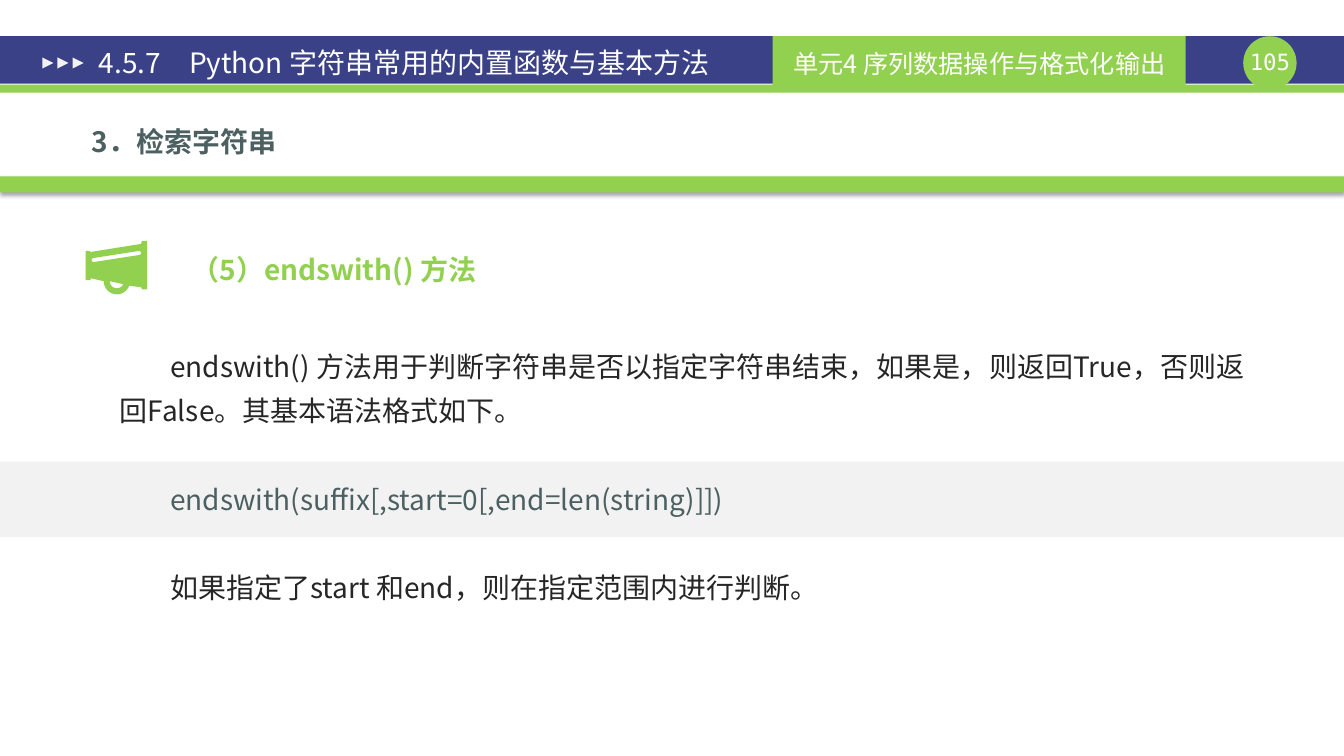
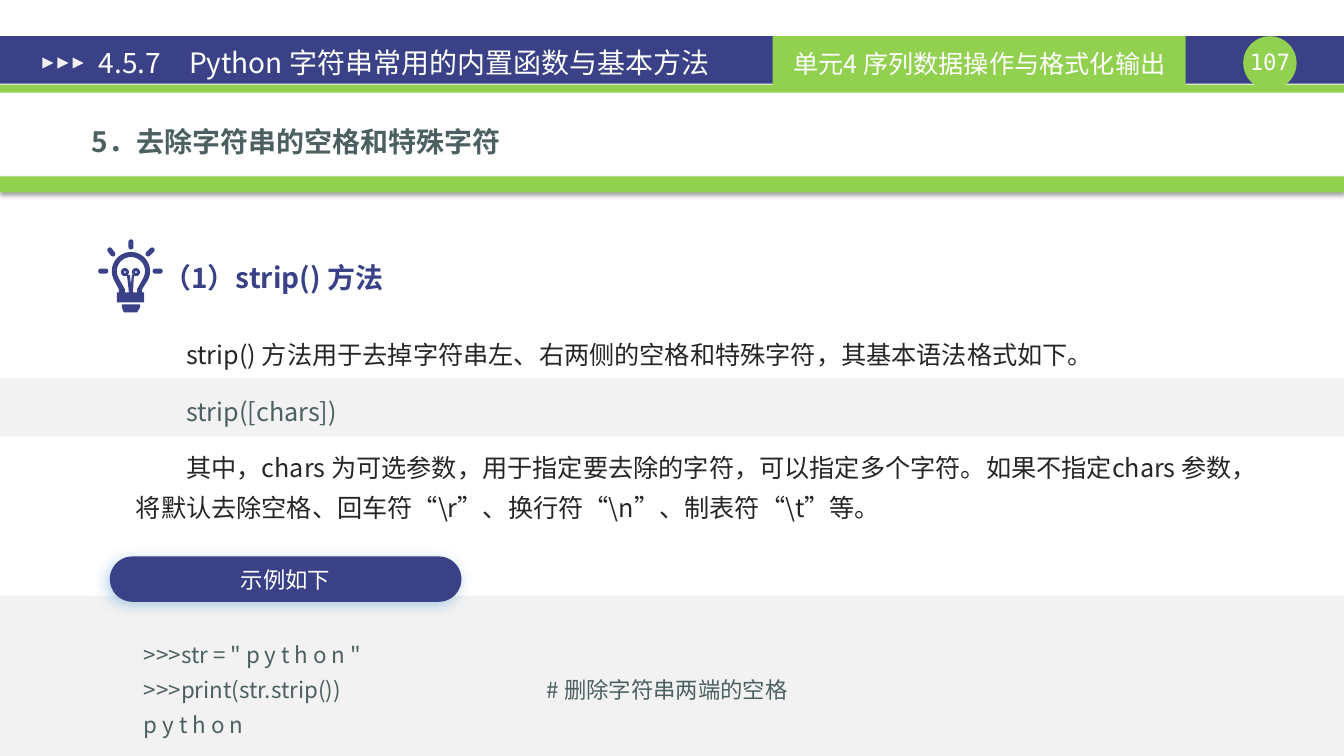
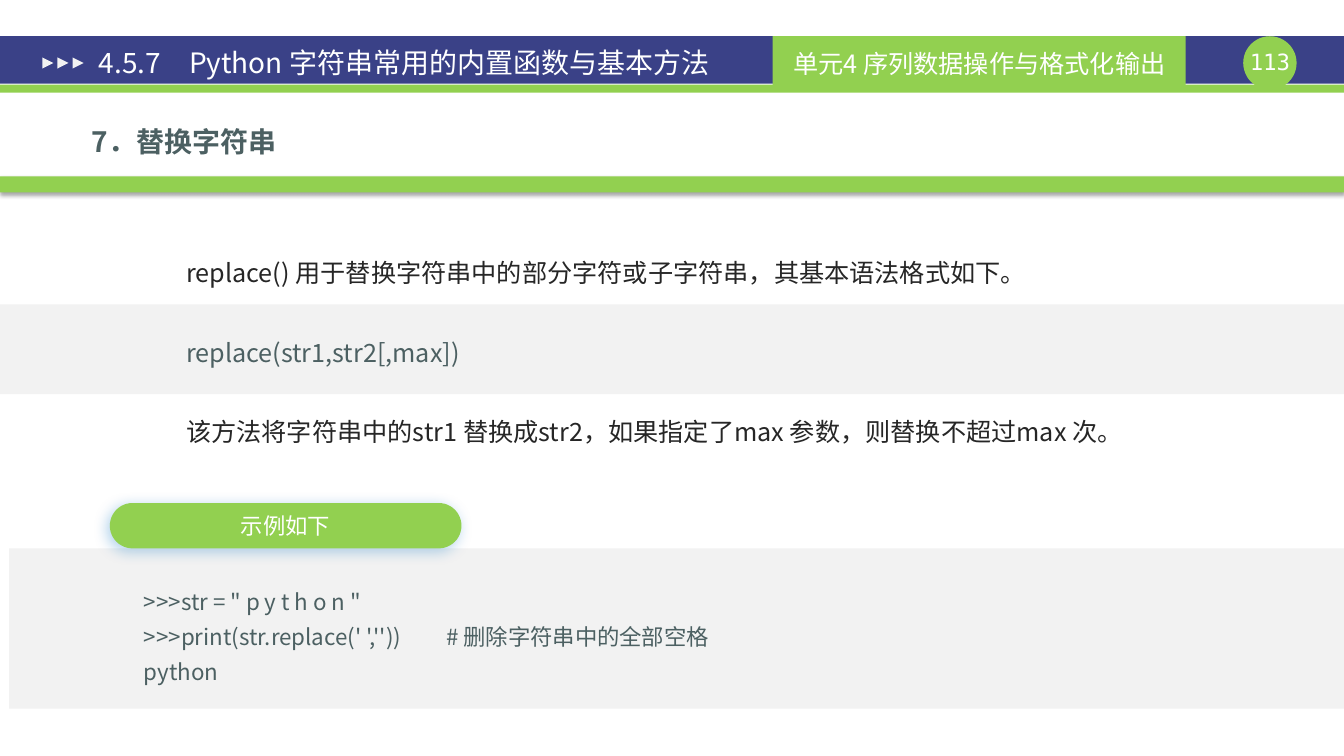
from math import atan2, cos, pi, radians, sin

from lxml import etree
from pptx import Presentation
from pptx.dml.color import RGBColor
from pptx.enum.shapes import MSO_SHAPE as SHAPE
from pptx.enum.text import MSO_ANCHOR as ANCHOR, PP_ALIGN as ALIGN
from pptx.oxml.ns import qn
from pptx.util import Inches, Pt

WIDTH, HEIGHT = 13.34, 7.5
BLUE, GREEN, GREY, WHITE = "3A4187", "92D050", "F2F2F2", "FFFFFF"
INK, SLATE = "262626", "4C6062"
SANS, MONO = "Noto Sans CJK SC", "DejaVu Sans Mono"
INSET = (0.1, 0.05, 0.1, 0.05)
FLAT = (0, 0, 0, 0)


def rgb(value):
    return RGBColor.from_string(value)


def arc(cx, cy, radius, start, end, steps=24):
    angles = [radians(start + (end - start) * i / steps) for i in range(steps + 1)]
    return [(cx + radius * cos(a), cy + radius * sin(a)) for a in angles]


def ray(x1, y1, x2, y2, radius=0.025):
    turn = atan2(y2 - y1, x2 - x1) * 180 / pi
    return (arc(x2, y2, radius, turn - 90, turn + 90, 8)
            + arc(x1, y1, radius, turn + 90, turn + 270, 8))


def box(left, top, right, bottom):
    return [(left, top), (right, top), (right, bottom), (left, bottom)]


HORN = [
    [(1.41, 2.39), (1.4, 2.42), (0.9, 2.5), (0.89, 2.49), (0.85, 2.49),
     (0.85, 2.78), (0.9, 2.78), (0.9, 2.76)]
    + arc(1.16, 2.79, 0.13, 180, 20)
    + [(1.4, 2.85), (1.41, 2.87), (1.46, 2.87), (1.46, 2.39)],
    arc(1.16, 2.79, 0.07, 180, 25),
    ray(0.93, 2.58, 1.38, 2.51, 0.02),
]

BULB = [
    ray(1, 2.69, 1.05, 2.69),
    ray(1.54, 2.69, 1.59, 2.69),
    ray(1.3, 2.4, 1.3, 2.45),
    ray(1.09, 2.48, 1.12, 2.52),
    ray(1.51, 2.48, 1.47, 2.52),
    arc(1.3, 2.69, 0.19, 150, 390) + [(1.41, 2.87), (1.41, 2.9), (1.18, 2.9), (1.18, 2.87)],
    arc(1.3, 2.69, 0.14, 150, 390) + [(1.36, 2.87), (1.36, 2.9), (1.24, 2.9), (1.24, 2.87)],
    arc(1.24, 2.7, 0.04, 0, 360),
    arc(1.24, 2.7, 0.01, 0, 360),
    arc(1.35, 2.7, 0.04, 0, 360),
    arc(1.35, 2.7, 0.01, 0, 360),
    [(1.26, 2.73), (1.33, 2.73), (1.32, 2.9), (1.28, 2.9)],
    [(1.29, 2.73), (1.31, 2.73), (1.3, 2.82)],
    box(1.16, 2.9, 1.43, 3),
    [(1.21, 3.02), (1.39, 3.02), (1.39, 3.05), (1.36, 3.1), (1.23, 3.1), (1.21, 3.05)],
]


class Deck:
    def __init__(self):
        self.prs = Presentation()
        self.prs.slide_width = Inches(WIDTH)
        self.prs.slide_height = Inches(HEIGHT)
        self.s = None

    def paint(self, sp, color):
        sp.shadow.inherit = False
        sp.fill.solid()
        sp.fill.fore_color.rgb = rgb(color)
        sp.line.fill.background()
        return sp

    def shape(self, kind, left, top, width, height, color):
        sp = self.s.shapes.add_shape(
            kind, Inches(left), Inches(top), Inches(width), Inches(height))
        return self.paint(sp, color)

    def band(self, top, height, color, left=0):
        return self.shape(SHAPE.RECTANGLE, left, top, WIDTH - left, height, color)

    def shade(self, sp, color, alpha, blur, distance, angle):
        effects = sp._element.spPr.find(qn("a:effectLst"))
        shadow = etree.SubElement(
            effects, qn("a:outerShdw"), blurRad=str(Pt(blur)), dist=str(Pt(distance)),
            dir=str(angle * 60000), algn="ctr", rotWithShape="0")
        tint = etree.SubElement(shadow, qn("a:srgbClr"), val=color)
        etree.SubElement(tint, qn("a:alpha"), val=str(alpha * 1000))

    def icon(self, outlines, color):
        first, *rest = [[(Inches(x), Inches(y)) for x, y in points] for points in outlines]
        builder = self.s.shapes.build_freeform(*first[0])
        builder.add_line_segments(first[1:], close=True)
        for points in rest:
            builder.move_to(*points[0])
            builder.add_line_segments(points[1:], close=True)
        self.paint(builder.convert_to_shape(), color)

    def put_text(self, sp, lines, size, font=SANS, bold=False, align=ALIGN.LEFT,
                 anchor=ANCHOR.MIDDLE, inset=INSET, spacing=None, gap=0, indent=0, tab=None):
        tf = sp.text_frame
        tf.word_wrap = True
        tf.vertical_anchor = anchor
        tf.margin_left, tf.margin_top, tf.margin_right, tf.margin_bottom = map(Inches, inset)
        for i, (text, color) in enumerate(lines):
            p = tf.add_paragraph() if i else tf.paragraphs[0]
            p.alignment = align
            if spacing:
                p.line_spacing = spacing
            if gap and i:
                p.space_before = Pt(gap)
            pPr = p._p.get_or_add_pPr()
            if indent:
                pPr.set("indent", str(Inches(indent)))
            if tab:
                stops = etree.SubElement(pPr, qn("a:tabLst"))
                etree.SubElement(stops, qn("a:tab"), pos=str(Inches(tab)), algn="l")
            r = p.add_run()
            r.text = text
            r.font.size = Pt(size)
            r.font.bold = bold
            r.font.name = font
            r.font.color.rgb = rgb(color)
            etree.SubElement(r._r.get_or_add_rPr(), qn("a:ea"), typeface=font)

    def text(self, left, top, width, height, lines, size, **style):
        sp = self.s.shapes.add_textbox(
            Inches(left), Inches(top), Inches(width), Inches(height))
        self.put_text(sp, lines, size, **style)

    def start(self, number, topic):
        self.s = self.prs.slides.add_slide(self.prs.slide_layouts[6])
        self.band(0.36, 0.47, BLUE)
        self.band(0.84, 0.08, GREEN)
        self.shape(SHAPE.OVAL, 12.34, 0.36, 0.53, 0.53, GREEN)
        self.text(12.34, 0.48, 0.53, 0.27, [(str(number), WHITE)], 16, font=MONO,
                  align=ALIGN.CENTER, anchor=ANCHOR.TOP, inset=FLAT)
        unit = self.shape(SHAPE.RECTANGLE, 7.67, 0.36, 4.1, 0.54, GREEN)
        self.put_text(unit, [("单元4 序列数据操作与格式化输出", WHITE)], 18, align=ALIGN.CENTER)
        for i in range(3):
            arrow = self.shape(SHAPE.ISOSCELES_TRIANGLE, 0.42 + 0.15 * i, 0.57, 0.11, 0.11, GREY)
            arrow.rotation = 90
        self.text(0.85, 0.4, 8.07, 0.44, [("4.5.7　Python 字符串常用的内置函数与基本方法", WHITE)],
                  20, inset=(0.13, 0.07, 0.13, 0.07))
        self.text(0.31, 1.08, 12.48, 0.5, [(topic, SLATE)], 20, bold=True,
                  anchor=ANCHOR.TOP, spacing=1.32, indent=0.5)
        self.shade(self.band(1.75, 0.16, GREEN), "000000", 35, 3.1, 1.8, 90)

    def heading(self, left, top, width, text, color, align=ALIGN.LEFT):
        self.text(left, top, width, 0.53, [(text, color)], 20, bold=True,
                  align=align, inset=FLAT)

    def syntax(self, left, top, width, height, intro, code, detail, size, gap):
        self.text(left, top, width, height, [(intro, INK), (code, SLATE), (detail, INK)], size,
                  anchor=ANCHOR.TOP, spacing=1.32, gap=gap, indent=0.5)

    def example(self, top, text_top, lines, tab, color):
        self.text(1.33, text_top, 8.18, 1.15, [(line, SLATE) for line in lines], 16,
                  anchor=ANCHOR.TOP, spacing=1.3, tab=tab)
        pill = self.shape(SHAPE.ROUNDED_RECTANGLE, 1.09, top, 3.49, 0.45, color)
        pill.adjustments[0] = 0.5
        self.shade(pill, "0070C0", 30, 10, 3, 135)
        self.put_text(pill, [("示例如下", WHITE)], 16, align=ALIGN.CENTER)


def main():
    deck = Deck()

    deck.start(105, "3．检索字符串")
    deck.band(4.58, 0.75, GREY)
    deck.syntax(1.09, 3.31, 11.55, 2.77,
                "endswith() 方法用于判断字符串是否以指定字符串结束，如果是，则返回True，否则返回False。其基本语法格式如下。",
                "endswith(suffix[,start=0[,end=len(string)]])",
                "如果指定了start 和end，则在指定范围内进行判断。", 20, 31.6)
    deck.icon(HORN, GREEN)
    deck.heading(1.46, 2.41, 3.71, "（5）endswith() 方法", GREEN, ALIGN.CENTER)

    deck.start(107, "5．去除字符串的空格和特殊字符")
    deck.band(3.75, 0.58, GREY)
    deck.icon(BULB, BLUE)
    deck.heading(1.62, 2.49, 2.6, "（1）strip() 方法", BLUE)
    deck.syntax(1.25, 3.22, 11.51, 2.04,
                "strip() 方法用于去掉字符串左、右两侧的空格和特殊字符，其基本语法格式如下。",
                "strip([chars])",
                "其中，chars 为可选参数，用于指定要去除的字符，可以指定多个字符。如果不指定chars 参数，"
                "将默认去除空格、回车符“\\r”、换行符“\\n”、制表符“\\t”等。", 18, 12)
    deck.band(5.91, 1.59, GREY)
    deck.example(5.52, 6.23, [
        '>>>str = " p y t h o n "',
        ">>>print(str.strip())\t# 删除字符串两端的空格",
        "p y t h o n"], 4, BLUE)

    deck.start(113, "7．替换字符串")
    deck.band(3.02, 0.89, GREY)
    deck.syntax(1.25, 2.41, 11.51, 2.1,
                "replace() 用于替换字符串中的部分字符或子字符串，其基本语法格式如下。",
                "replace(str1,str2[,max])",
                "该方法将字符串中的str1 替换成str2，如果指定了max 参数，则替换不超过max 次。", 18, 28.4)
    deck.band(5.44, 1.59, GREY, left=0.09)
    deck.example(4.99, 5.71, [
        '>>>str = " p y t h o n "',
        ">>>print(str.replace(' ',''))\t# 删除字符串中的全部空格",
        "python"], 3, GREEN)

    deck.prs.save("out.pptx")


if __name__ == "__main__":
    main()
